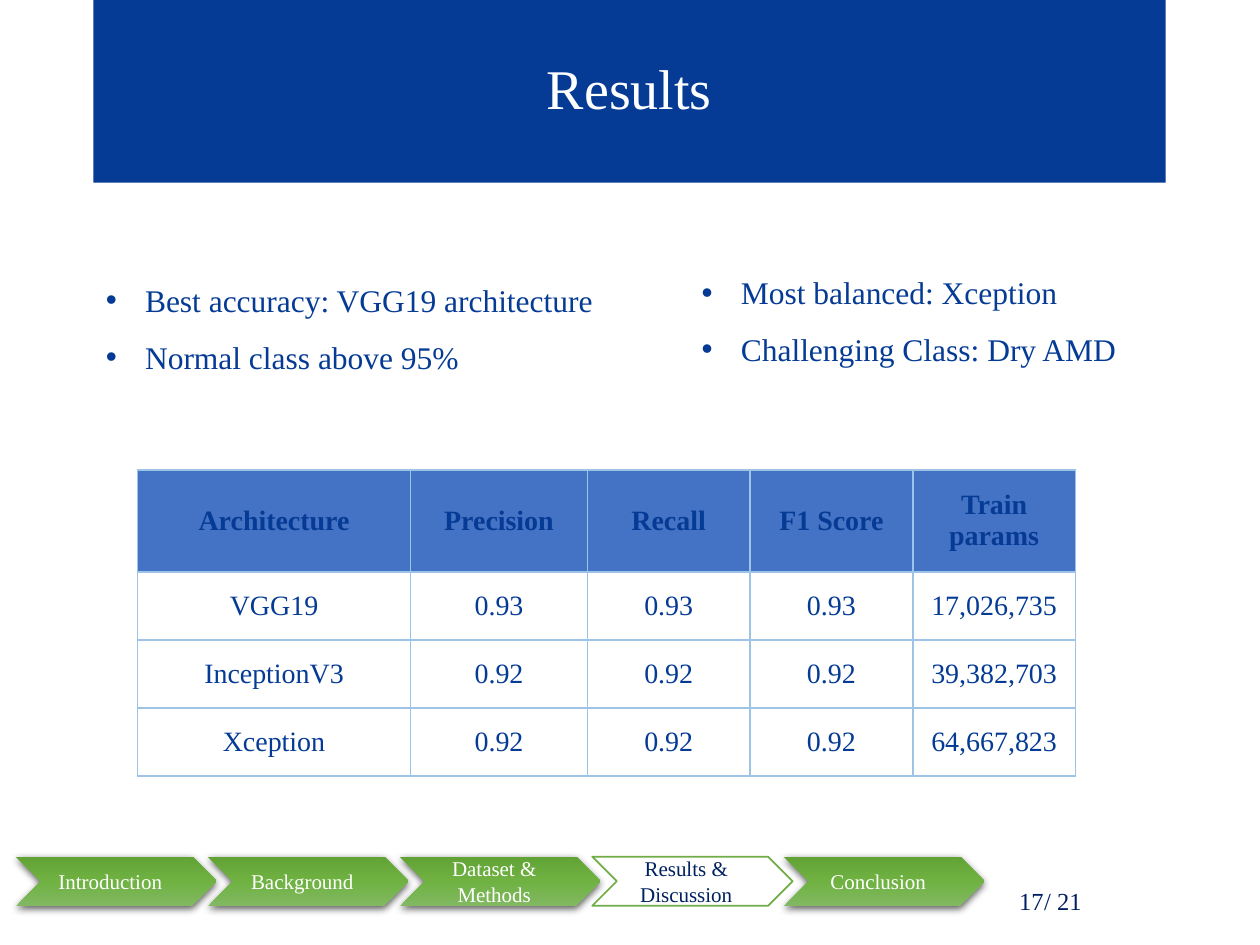
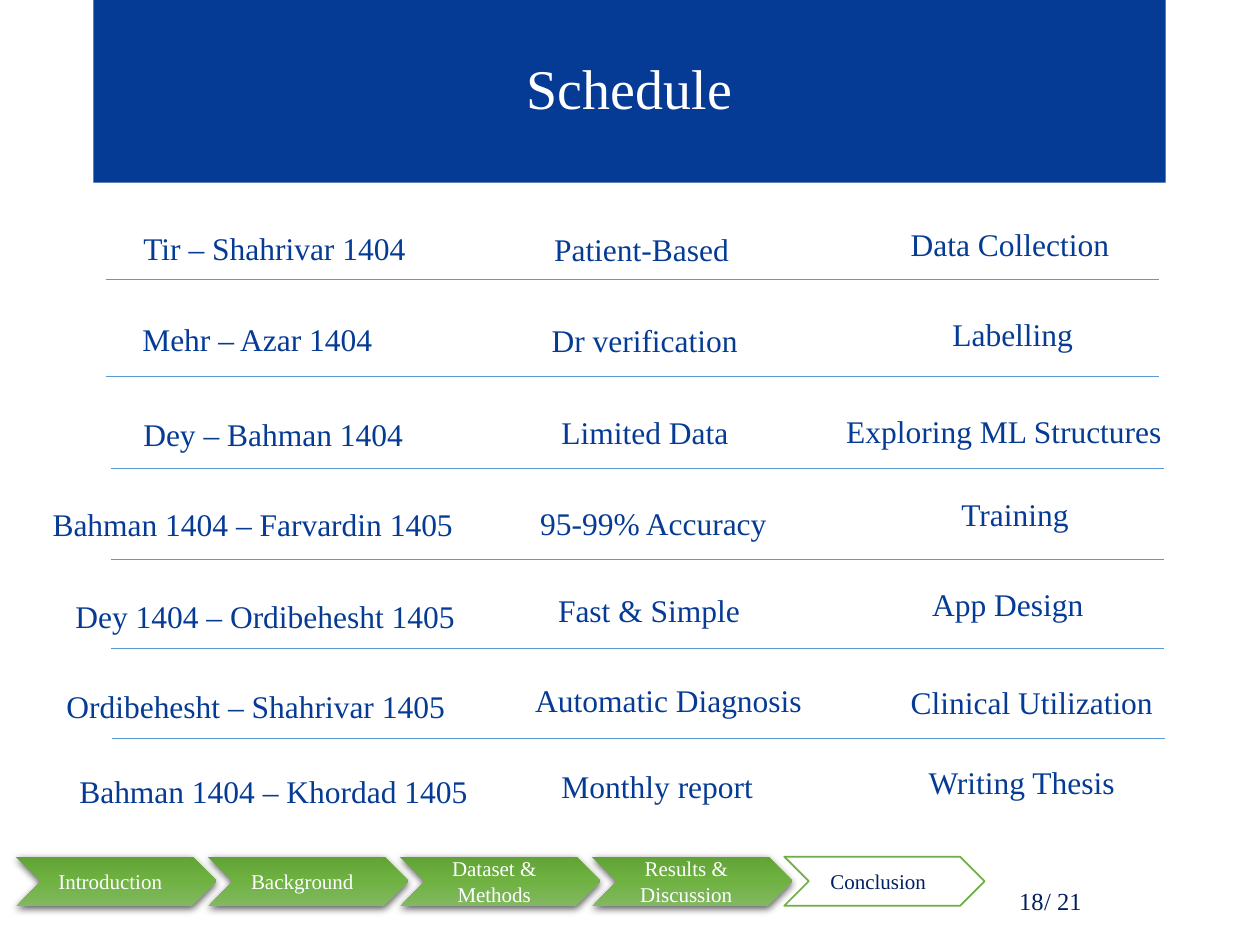
import lxml.etree
import pptx
import pptx.dml.color
import pptx.enum.shapes
import pptx.enum.text
import pptx.oxml.ns
import pptx.util
from copy import deepcopy

Cm = pptx.util.Cm
Pt = pptx.util.Pt
RGBColor = pptx.dml.color.RGBColor
Align = pptx.enum.text.PP_ALIGN
Anchor = pptx.enum.text.MSO_ANCHOR
Shape = pptx.enum.shapes.MSO_SHAPE
qn = pptx.oxml.ns.qn

BLUE = RGBColor(0x05, 0x3B, 0x95)
NAVY = RGBColor(0x00, 0x20, 0x60)
WHITE = RGBColor(0xFF, 0xFF, 0xFF)
GREEN = RGBColor(0x70, 0xAD, 0x47)
GREEN_STOPS = [
    RGBColor(0x81, 0xB8, 0x61),
    RGBColor(0x6F, 0xB2, 0x42),
    RGBColor(0x62, 0xA3, 0x36),
]
HEADER_BLUE = RGBColor(0x44, 0x72, 0xC4)
BORDER_BLUE = RGBColor(0x9D, 0xC3, 0xE6)
RULE_BLUE = RGBColor(0x5B, 0x9B, 0xD5)

FONT = "Times New Roman"
PAGE_COUNT = 21
STAGES = ["Introduction", "Background", "Dataset & Methods", "Results & Discussion", "Conclusion"]
STAGE_LEFT, STAGE_TOP, STAGE_STEP = 0.33, 17.27, 3.87
STAGE_WIDTH, STAGE_HEIGHT = 4.04, 0.99

FINDINGS = [
    (1.88, 5.21, ["Best accuracy: VGG19 architecture", "Normal class above 95%"]),
    (13.89, 5.05, ["Most balanced: Xception", "Challenging Class: Dry AMD"]),
]
SCORES = [
    ["Architecture", "Precision", "Recall", "F1 Score", "Train params"],
    ["VGG19", "0.93", "0.93", "0.93", "17,026,735"],
    ["InceptionV3", "0.92", "0.92", "0.92", "39,382,703"],
    ["Xception", "0.92", "0.92", "0.92", "64,667,823"],
]
PERIODS = [
    (2.64, 4.11, 6.2, "Tir – Shahrivar 1404"),
    (2.62, 5.94, 6.25, "Mehr – Azar 1404"),
    (2.64, 7.87, 6.25, "Dey – Bahman 1404"),
    (0.81, 9.68, 9.91, "Bahman 1404 – Farvardin 1405"),
    (1.27, 11.53, 8.97, "Dey 1404 – Ordibehesht 1405"),
    (1.09, 13.34, 8.81, "Ordibehesht – Shahrivar 1405"),
    (1.35, 15.06, 8.81, "Bahman 1404 – Khordad 1405"),
]
DETAILS = [
    (10.92, 4.14, 4.29, "Patient-Based"),
    (10.87, 5.97, 4.7, "Dr verification"),
    (11.07, 7.82, 4.14, "Limited Data"),
    (10.64, 9.65, 5.49, "95-99% Accuracy"),
    (11, 11.4, 4.47, "Fast & Simple"),
    (10.54, 13.23, 6.27, "Automatic Diagnosis"),
    (11.07, 14.96, 4.9, "Monthly report"),
]
TASKS = [
    (18.11, 4.04, 4.9, "Data Collection"),
    (18.95, 5.84, 3.23, "Labelling"),
    (16.81, 7.8, 7.52, "Exploring ML Structures"),
    (19.13, 9.47, 2.87, "Training"),
    (18.54, 11.28, 4.04, "App Design"),
    (18.11, 13.26, 5.69, "Clinical Utilization"),
    (18.47, 14.88, 4.9, "Writing Thesis"),
]
ROW_RULES = [(2.13, 5.64), (2.13, 7.59), (2.24, 9.45), (2.24, 11.28), (2.24, 13.08), (2.26, 14.88)]
RULE_LENGTH = 21.23


class Deck:
    def __init__(self):
        self.presentation = pptx.Presentation()
        self.presentation.slide_width = Cm(25.4)
        self.presentation.slide_height = Cm(19.05)
        self.slide = None

    def start_slide(self, layout, title, page, stage):
        self.slide = self.presentation.slides.add_slide(self.presentation.slide_layouts[layout])
        self.title(title)
        self.stage_bar(stage)
        self.text(17.93, 17.65, 5.72, 1.02, str(page), 14, NAVY, Align.CENTER, anchor=Anchor.MIDDLE)
        self.text(20.8, 17.73, 1.5, 0.86, f"/ {PAGE_COUNT}", 14, NAVY)

    def place(self, shape, left, top, width, height):
        shape.left, shape.top = Cm(left), Cm(top)
        shape.width, shape.height = Cm(width), Cm(height)

    def format(self, paragraph, size, color, align, spacing=1.0, bold=False):
        paragraph.alignment = align
        paragraph.line_spacing = spacing
        paragraph.space_before = Pt(0)
        paragraph.font.name = FONT
        paragraph.font.size = Pt(size)
        paragraph.font.bold = bold
        paragraph.font.color.rgb = color

    def title(self, title):
        shape = self.slide.shapes.title
        self.place(shape, 1.88, 0, 21.62, 3.68)
        shape.fill.solid()
        shape.fill.fore_color.rgb = BLUE
        shape.text_frame.text = title
        shape.text_frame.vertical_anchor = Anchor.MIDDLE
        self.format(shape.text_frame.paragraphs[0], 32, WHITE, Align.CENTER, 0.9)

    def text(self, left, top, width, height, text, size, color, align=Align.LEFT,
             spacing=1.0, anchor=Anchor.TOP, shapes=None):
        shapes = self.slide.shapes if shapes is None else shapes
        box = shapes.add_textbox(Cm(left), Cm(top), Cm(width), Cm(height))
        frame = box.text_frame
        frame.word_wrap = True
        frame.vertical_anchor = anchor
        frame.text = text
        self.format(frame.paragraphs[0], size, color, align, spacing)
        return frame

    def bullets(self, placeholder, left, top, items):
        self.place(placeholder, left, top, 11.4, 2.44)
        frame = placeholder.text_frame
        frame.text = "\n".join(items)
        frame.auto_size = pptx.enum.text.MSO_AUTO_SIZE.NONE
        frame.vertical_anchor = Anchor.MIDDLE
        for paragraph in frame.paragraphs:
            self.format(paragraph, 18, BLUE, Align.JUSTIFY, 1.5)
            properties = paragraph._p.get_or_add_pPr()
            properties.set("marL", str(Cm(0.79)))
            properties.set("indent", str(-Cm(0.79)))

    def stage_bar(self, current):
        for index, stage in enumerate(STAGES):
            left = STAGE_LEFT + index * STAGE_STEP
            group = self.slide.shapes.add_group_shape()
            chevron = group.shapes.add_shape(
                Shape.CHEVRON, Cm(left), Cm(STAGE_TOP), Cm(STAGE_WIDTH), Cm(STAGE_HEIGHT))
            chevron.shadow.inherit = False
            if stage == current:
                chevron.fill.solid()
                chevron.fill.fore_color.rgb = WHITE
                chevron.line.color.rgb = GREEN
                chevron.line.width = Pt(1)
            else:
                chevron.line.fill.background()
                self.gradient(chevron)
                self.shadow(chevron)
            frame = self.text(left + 0.28, STAGE_TOP, 3.23, STAGE_HEIGHT, stage, 12,
                              NAVY if stage == current else WHITE, Align.CENTER,
                              anchor=Anchor.MIDDLE, shapes=group.shapes)
            frame.margin_top = frame.margin_bottom = 0

    def gradient(self, shape):
        shape.fill.gradient()
        stops = shape.element.spPr.find(".//" + qn("a:gsLst"))
        stops.insert(1, deepcopy(stops[0]))
        for index, stop in enumerate(shape.fill.gradient_stops):
            stop.color.rgb = GREEN_STOPS[index]
            stop.position = index / 2
        shape.fill.gradient_angle = 90

    def shadow(self, shape):
        effects = shape.element.spPr.find(qn("a:effectLst"))
        outer = lxml.etree.SubElement(effects, qn("a:outerShdw"), blurRad=str(Pt(4.5)),
                                      dist=str(Pt(1.5)), dir="5400000", algn="ctr", rotWithShape="0")
        color = lxml.etree.SubElement(outer, qn("a:srgbClr"), val="000000")
        lxml.etree.SubElement(color, qn("a:alpha"), val="63000")

    def rule(self, left, top, length):
        line = self.slide.shapes.add_connector(
            pptx.enum.shapes.MSO_CONNECTOR.STRAIGHT, Cm(left), Cm(top), Cm(left + length), Cm(top))
        line.line.color.rgb = RULE_BLUE
        line.line.width = Pt(0.5)
        lxml.etree.SubElement(line.element.spPr, qn("a:effectLst"))

    def table(self, left, top, widths, heights, rows):
        table = self.slide.shapes.add_table(
            len(rows), len(widths), Cm(left), Cm(top), Cm(sum(widths)), Cm(sum(heights))).table
        table.horz_banding = False
        for column, width in zip(table.columns, widths):
            column.width = Cm(width)
        for row, height in zip(table.rows, heights):
            row.height = Cm(height)
        for row_index, values in enumerate(rows):
            for column_index, value in enumerate(values):
                self.cell(table.cell(row_index, column_index), value, row_index == 0)

    def cell(self, cell, value, header):
        cell.text = value
        cell.vertical_anchor = Anchor.MIDDLE
        cell.margin_left = cell.margin_right = Cm(0.18)
        cell.margin_top = cell.margin_bottom = 0
        self.format(cell.text_frame.paragraphs[0], 16, BLUE, Align.CENTER, bold=header)
        properties = cell._tc.get_or_add_tcPr()
        for side in ("a:lnL", "a:lnR", "a:lnT", "a:lnB"):
            border = lxml.etree.SubElement(properties, qn(side), w=str(Pt(1)))
            fill = lxml.etree.SubElement(border, qn("a:solidFill"))
            lxml.etree.SubElement(fill, qn("a:srgbClr"), val=str(BORDER_BLUE))
        cell.fill.solid()
        cell.fill.fore_color.rgb = HEADER_BLUE if header else WHITE


def main():
    deck = Deck()

    deck.start_slide(3, "Results", 17, "Results & Discussion")
    for index, (left, top, items) in enumerate(FINDINGS, start=1):
        deck.bullets(deck.slide.placeholders[index], left, top, items)
    deck.table(2.77, 9.47, [5.51, 3.56] + [3.28] * 3, [2.06] + [1.37] * 3, SCORES)

    deck.start_slide(5, "Schedule", 18, "Conclusion")
    for left, top, width, text in PERIODS + DETAILS + TASKS:
        deck.text(left, top, width, 1.27, text, 18, BLUE, Align.JUSTIFY, 1.5)
    for left, top in ROW_RULES:
        deck.rule(left, top, RULE_LENGTH)

    deck.presentation.save("out.pptx")


if __name__ == "__main__":
    main()
